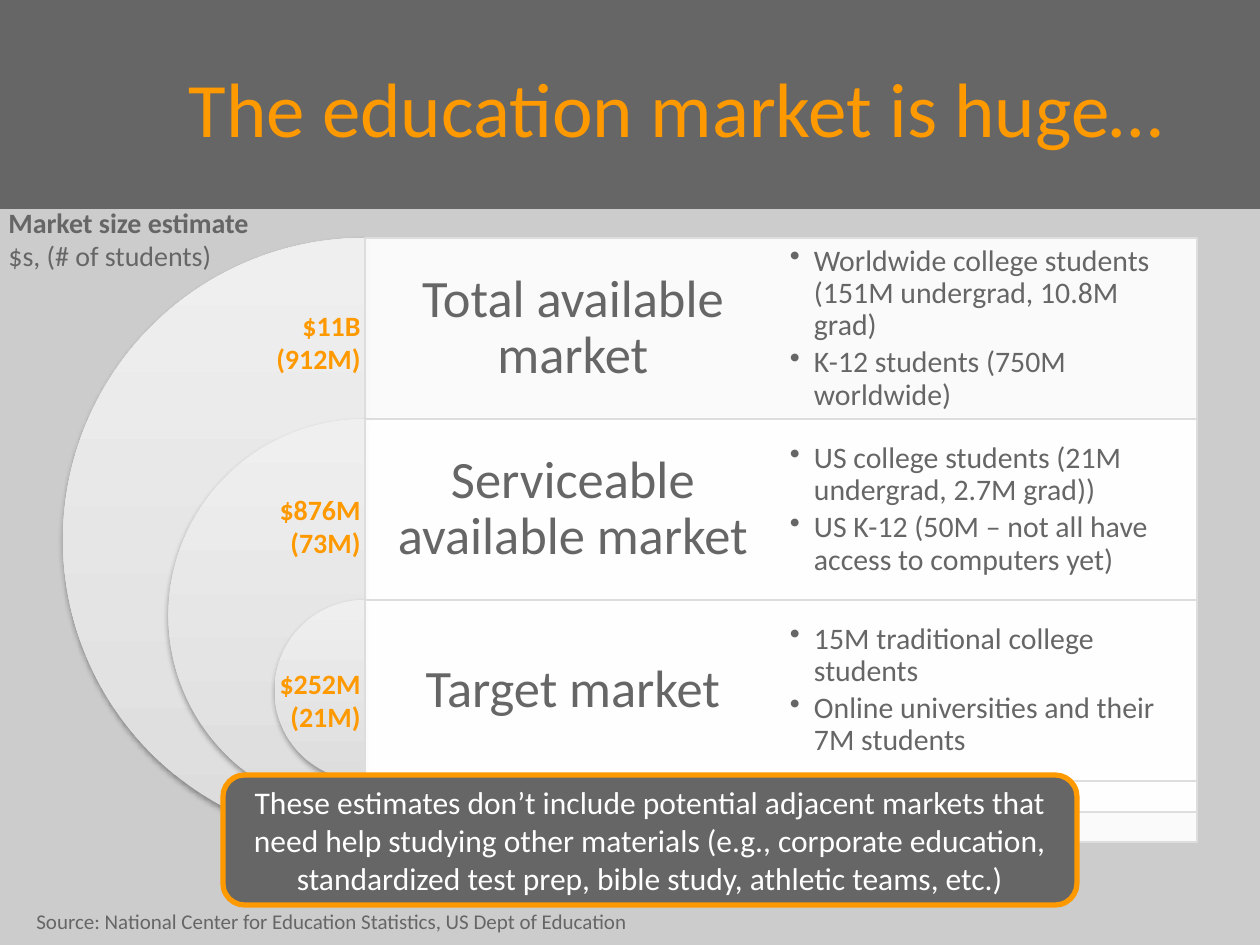
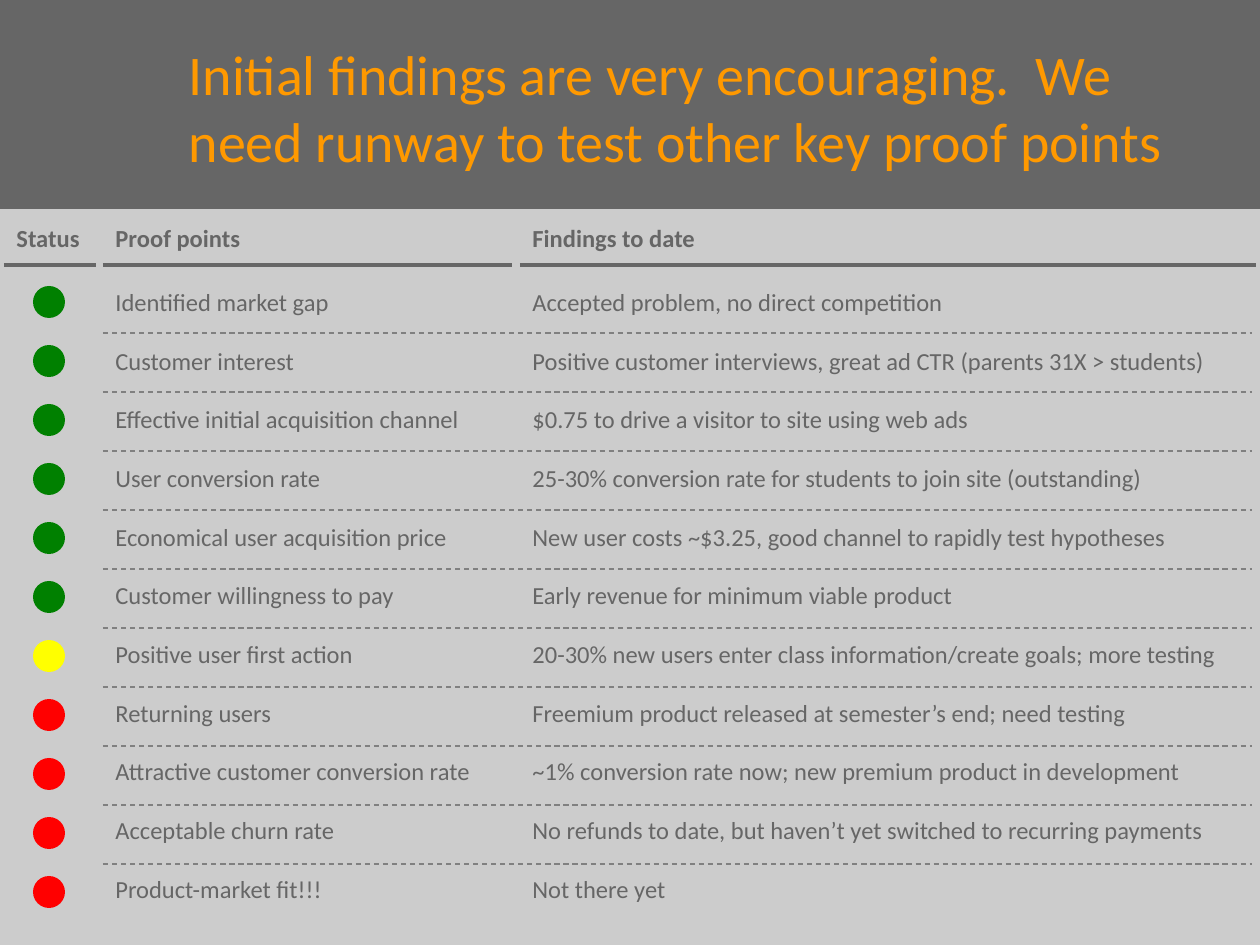
from lxml.etree import SubElement
from pptx import Presentation
from pptx.dml.color import RGBColor
from pptx.enum.dml import MSO_LINE
from pptx.enum.shapes import MSO_CONNECTOR, MSO_SHAPE
from pptx.enum.text import MSO_ANCHOR, MSO_AUTO_SIZE, PP_ALIGN
from pptx.oxml.ns import qn
from pptx.util import Pt

EMU_PER_PX = 914400 / 126
SLIDE_SIZE = (1260, 945)
BAND = (0, 0, 1260, 209)
TITLE_BOX = (176, 28, 1076, 157)
FONT = "Calibri"

PAPER = RGBColor(0xCC, 0xCC, 0xCC)
SLATE = RGBColor(0x66, 0x66, 0x66)
ORANGE = RGBColor(0xFF, 0x99, 0x00)
WHITE = RGBColor(0xFF, 0xFF, 0xFF)
SILVER = RGBColor(0xDD, 0xDD, 0xDD)
PALE = RGBColor(0xEF, 0xEF, 0xEF)
RULE_GREY = RGBColor(0x80, 0x80, 0x80)
GREEN = RGBColor(0x00, 0x80, 0x00)
YELLOW = RGBColor(0xFF, 0xFF, 0x00)
RED = RGBColor(0xFF, 0x00, 0x00)

MARKET_TITLE = "The education market is huge…"
MARKETS = [
    {"name": "Total available market", "size": ["$11B", "(912M)"], "size_top": 302, "extent": 604,
     "details": ["Worldwide college students (151M undergrad, 10.8M grad)",
                 "K-12 students (750M worldwide)"]},
    {"name": "Serviceable available market", "size": ["$876M", "(73M)"], "size_top": 486, "extent": 393,
     "details": ["US college students (21M undergrad, 2.7M grad))",
                 "US K-12 (50M – not all have access to computers yet)"]},
    {"name": "Target market", "size": ["$252M", "(21M)"], "size_top": 660, "extent": 181,
     "details": ["15M traditional college students",
                 "Online universities and their 7M students"]},
]
ESTIMATE_LABEL = ["Market size estimate", "$s, (# of students)"]
CALLOUT = ("These estimates don’t include potential adjacent markets that need help studying other "
           "materials (e.g., corporate education, standardized test prep, bible study, athletic teams, etc.)")
SOURCE = "Source: National Center for Education Statistics, US Dept of Education"
MARKET_LEFT, MARKET_TOP, MARKET_ROW, MARKET_COLUMN = 365, 238, 181, 416

FINDINGS_TITLE = "Initial findings are very encouraging.  We need runway to test other key proof points"
COLUMNS = [("Status", 4, 92), ("Proof points", 103, 409), ("Findings to date", 520, 736)]
FINDINGS = [
    (GREEN, "Identified market gap", "Accepted problem, no direct competition"),
    (GREEN, "Customer interest", "Positive customer interviews, great ad CTR (parents 31X > students)"),
    (GREEN, "Effective initial acquisition channel", "$0.75 to drive a visitor to site using web ads"),
    (GREEN, "User conversion rate", "25-30% conversion rate for students to join site (outstanding)"),
    (GREEN, "Economical user acquisition price", "New user costs ~$3.25, good channel to rapidly test hypotheses"),
    (GREEN, "Customer willingness to pay", "Early revenue for minimum viable product"),
    (YELLOW, "Positive user first action", "20-30% new users enter class information/create goals; more testing"),
    (RED, "Returning users", "Freemium product released at semester’s end; need testing"),
    (RED, "Attractive customer conversion rate", "~1% conversion rate now; new premium product in development"),
    (RED, "Acceptable churn rate", "No refunds to date, but haven’t yet switched to recurring payments"),
    (RED, "Product-market fit!!!", "Not there yet"),
]
HEADER_TOP, HEADER_RULE, FINDINGS_TOP = 217, 265, 281
FIRST_DOT, FIRST_DIVIDER, FINDING_PITCH, DOT = 286, 333, 59, 32


def px(*values):
    return [round(value * EMU_PER_PX) for value in values]


def write(text_frame, lines, size, color=SLATE, bold=False, align=PP_ALIGN.LEFT,
          anchor=MSO_ANCHOR.TOP, space_after=0, line_spacing=None, bullets=False):
    text_frame.word_wrap = True
    text_frame.auto_size = MSO_AUTO_SIZE.NONE
    text_frame.vertical_anchor = anchor
    for index, line in enumerate(lines):
        paragraph = text_frame.add_paragraph() if index else text_frame.paragraphs[0]
        paragraph.text = line
        if bullets:
            properties = paragraph._p.get_or_add_pPr()
            indent = px(24)[0]
            properties.set("marL", str(indent))
            properties.set("indent", str(-indent))
            SubElement(properties, qn("a:buChar"), char="•")
        paragraph.alignment = align
        paragraph.space_after = Pt(space_after)
        if line_spacing:
            paragraph.line_spacing = line_spacing
        font = paragraph.font
        font.name, font.size, font.bold = FONT, Pt(size), bold
        font.color.rgb = color


def add_text(slide, box, lines, size, margin=None, **style):
    text_frame = slide.shapes.add_textbox(*px(*box)).text_frame
    if margin:
        inset = px(margin)[0]
        text_frame.margin_left = text_frame.margin_right = inset
        text_frame.margin_top = text_frame.margin_bottom = inset
    write(text_frame, lines, size, **style)
    return text_frame


def add_shape(slide, kind, box, fill=None, line=None, line_width=1):
    shape = slide.shapes.add_shape(kind, *px(*box))
    shape.shadow.inherit = False
    if fill is not None:
        shape.fill.solid()
        shape.fill.fore_color.rgb = fill
    if line is None:
        shape.line.fill.background()
    else:
        shape.line.color.rgb = line
        shape.line.width = Pt(line_width)
    return shape


def add_rule(slide, left, right, top, color, width, dash=None):
    rule = slide.shapes.add_connector(MSO_CONNECTOR.STRAIGHT, *px(left, top, right, top))
    rule.line.color.rgb = color
    rule.line.width = Pt(width)
    if dash is not None:
        rule.line.dash_style = dash
    SubElement(rule._element.spPr, qn("a:effectLst"))


def add_half_circle(slide, top, diameter):
    pie = add_shape(slide, MSO_SHAPE.PIE, (MARKET_LEFT - diameter / 2, top, diameter, diameter))
    pie.adjustments[0], pie.adjustments[1] = 54, 162
    pie.fill.gradient()
    pie.fill.gradient_angle = 90
    for stop, color in zip(pie.fill.gradient_stops, (SILVER, PALE)):
        stop.color.rgb = color
    effects = pie._element.spPr.find(qn("a:effectLst"))
    shadow = SubElement(effects, qn("a:outerShdw"), blurRad="40000", dist="23000",
                        dir="5400000", rotWithShape="0")
    black = SubElement(shadow, qn("a:srgbClr"), val="000000")
    SubElement(black, qn("a:alpha"), val="35000")


def add_panel(slide, top, height):
    panel = add_shape(slide, MSO_SHAPE.RECTANGLE, (MARKET_LEFT, top, 2 * MARKET_COLUMN, height),
                      WHITE, SILVER, 0.75)
    color = panel._element.spPr.find(qn("a:solidFill")).find(qn("a:srgbClr"))
    SubElement(color, qn("a:alpha"), val="90000")


def add_titled_slide(presentation, title, size):
    slide = presentation.slides.add_slide(presentation.slide_layouts[5])
    band = add_shape(slide, MSO_SHAPE.RECTANGLE, BAND, SLATE)
    slide.shapes._spTree.insert(2, band._element)
    placeholder = slide.shapes.title
    placeholder.left, placeholder.top, placeholder.width, placeholder.height = px(*TITLE_BOX)
    write(placeholder.text_frame, [title], size, ORANGE, anchor=MSO_ANCHOR.MIDDLE)
    return slide


def build_market_slide(presentation):
    slide = add_titled_slide(presentation, MARKET_TITLE, 44)
    for row, market in enumerate(MARKETS):
        top = MARKET_TOP + row * MARKET_ROW
        add_half_circle(slide, top, market["extent"])
        add_panel(slide, top, market["extent"])
        add_text(slide, (MARKET_LEFT, top, MARKET_COLUMN, MARKET_ROW), [market["name"]], 30, margin=15,
                 align=PP_ALIGN.CENTER, anchor=MSO_ANCHOR.MIDDLE, line_spacing=0.9)
        add_text(slide, (MARKET_LEFT + MARKET_COLUMN, top, MARKET_COLUMN, MARKET_ROW),
                 market["details"], 17, margin=9, anchor=MSO_ANCHOR.MIDDLE,
                 space_after=3, line_spacing=0.9, bullets=True)
    callout = add_shape(slide, MSO_SHAPE.ROUNDED_RECTANGLE, (223, 775, 854, 130), SLATE, ORANGE, 3)
    write(callout.text_frame, [CALLOUT], 18, WHITE, align=PP_ALIGN.CENTER, anchor=MSO_ANCHOR.MIDDLE)
    for market in MARKETS:
        add_text(slide, (228, market["size_top"], 145, 81), market["size"], 16,
                 color=ORANGE, bold=True, align=PP_ALIGN.RIGHT)
    add_text(slide, (24, 902, 1212, 38), [SOURCE], 12)
    estimate = add_text(slide, (-4, 199, 299, 81), ESTIMATE_LABEL, 16)
    estimate.paragraphs[0].font.bold = True


def build_findings_slide(presentation):
    slide = add_titled_slide(presentation, FINDINGS_TITLE, 32)
    for index, (heading, left, width) in enumerate(COLUMNS):
        add_text(slide, (left, HEADER_TOP, width, 43), [heading], 14, bold=True)
        add_rule(slide, left, left + width, HEADER_RULE, SLATE, 2)
        if index:
            add_text(slide, (left, FINDINGS_TOP, width, 636), [finding[index] for finding in FINDINGS],
                     14, space_after=16.7)
    for row, (status, _, _) in enumerate(FINDINGS):
        offset = row * FINDING_PITCH
        add_shape(slide, MSO_SHAPE.OVAL, (33, FIRST_DOT + offset, DOT, DOT), status)
        if row < len(FINDINGS) - 1:
            add_rule(slide, 103, 1252, FIRST_DIVIDER + offset, RULE_GREY, 0.75, MSO_LINE.DASH)


def main():
    presentation = Presentation()
    presentation.slide_width, presentation.slide_height = px(*SLIDE_SIZE)
    background = presentation.slide_master.background.fill
    background.solid()
    background.fore_color.rgb = PAPER
    build_market_slide(presentation)
    build_findings_slide(presentation)
    presentation.save("out.pptx")


if __name__ == "__main__":
    main()
